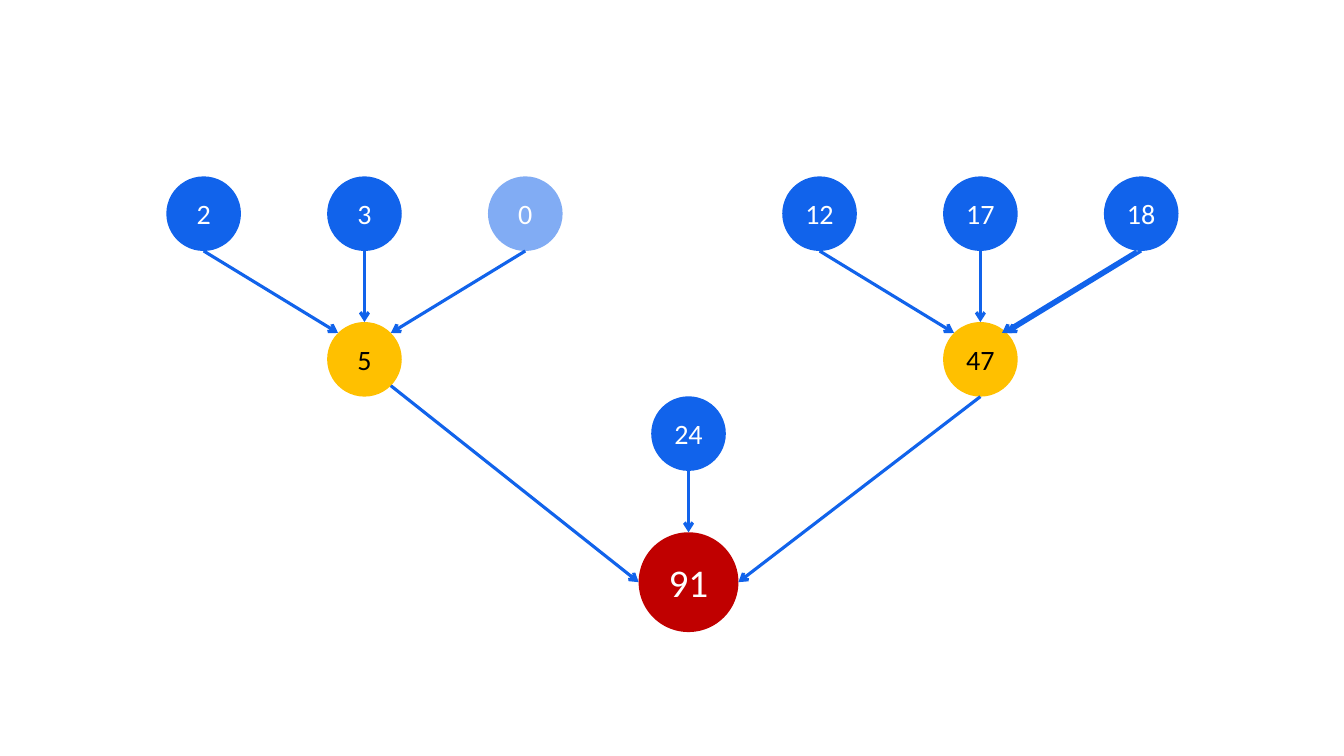
from math import sqrt

from lxml import etree
from pptx import Presentation
from pptx.dml.color import RGBColor
from pptx.enum.shapes import MSO_CONNECTOR, MSO_SHAPE
from pptx.enum.text import MSO_ANCHOR, PP_ALIGN
from pptx.oxml.ns import qn
from pptx.util import Inches, Pt

OVAL = MSO_SHAPE.OVAL
STRAIGHT = MSO_CONNECTOR.STRAIGHT
MIDDLE = MSO_ANCHOR.MIDDLE
CENTER = PP_ALIGN.CENTER

BLUE = RGBColor(0x11, 0x63, 0xEB)
GOLD = RGBColor(0xFF, 0xC0, 0x00)
RED = RGBColor(0xC0, 0x00, 0x00)
WHITE = RGBColor(0xFF, 0xFF, 0xFF)
BLACK = RGBColor(0x00, 0x00, 0x00)

DIAGONAL = 1 / sqrt(2)
TOP, BOTTOM, LEFT, RIGHT = (0, -1), (0, 1), (-1, 0), (1, 0)
TOP_LEFT, TOP_RIGHT = (-DIAGONAL, -DIAGONAL), (DIAGONAL, -DIAGONAL)
BOTTOM_RIGHT = (DIAGONAL, DIAGONAL)


def write_text(box, text, *, size, color, font="Calibri"):
    frame = box.text_frame
    frame.word_wrap = False
    frame.margin_left = frame.margin_right = 0
    frame.margin_top = frame.margin_bottom = 0
    frame.vertical_anchor = MIDDLE
    para = frame.paragraphs[0]
    para.alignment = CENTER
    span = para.add_run()
    span.text = text
    span.font.size = Pt(size)
    span.font.name = font
    span.font.color.rgb = color


class TreePage:
    origin = (2.02, 2.12)
    column_width = 1.595
    row_height = 1.445
    line_width = 2.25

    def __init__(self, deck):
        self.page = deck.slides.add_slide(deck.slide_layouts[6])

    def node(self, text, column, row, *, fill=BLUE, color=WHITE, size=20,
             diameter=0.74, opacity=100):
        x = self.origin[0] + column * self.column_width
        y = self.origin[1] + row * self.row_height
        radius = diameter / 2
        box = self.page.shapes.add_shape(
            OVAL, Inches(x - radius), Inches(y - radius),
            Inches(diameter), Inches(diameter))
        box.shadow.inherit = False
        box.fill.solid()
        box.fill.fore_color.rgb = fill
        box.line.fill.background()
        if opacity < 100:
            tint = box.fill._xPr.find(qn("a:solidFill"))[0]
            etree.SubElement(tint, qn("a:alpha"), val=str(opacity * 1000))
        write_text(box, text, size=size, color=color)
        return x, y, radius

    def arrow(self, start, start_side, end, end_side, shift=0):
        ends = []
        for (x, y, radius), (across, down) in ((start, start_side), (end, end_side)):
            ends += [Inches(x + radius * across + shift * self.column_width),
                     Inches(y + radius * down)]
        link = self.page.shapes.add_connector(STRAIGHT, *ends)
        link.line.color.rgb = BLUE
        link.line.width = Pt(self.line_width)
        etree.SubElement(link.line._get_or_add_ln(), qn("a:tailEnd"), type="arrow")
        etree.SubElement(link._element.spPr, qn("a:effectLst"))

    def family(self, column, numbers, total, opacities=(100, 100, 100)):
        leaves = [self.node(number, column + place, 0, opacity=opacity)
                  for place, (number, opacity) in enumerate(zip(numbers, opacities))]
        parent = self.node(total, column + 1, 1, fill=GOLD, color=BLACK)
        for leaf, side in zip(leaves, (TOP_LEFT, TOP, TOP_RIGHT)):
            self.arrow(leaf, BOTTOM, parent, side)
        return leaves, parent


def main():
    deck = Presentation()
    deck.slide_width, deck.slide_height = Inches(13.33), Inches(7.5)
    tree = TreePage(deck)

    _, left_sum = tree.family(0, ("2", "3", "0"), "5", opacities=(100, 100, 53))
    right_leaves, right_sum = tree.family(3.83, ("12", "17", "18"), "47")
    tree.arrow(right_leaves[-1], BOTTOM, right_sum, TOP_RIGHT, shift=-0.03)

    middle = tree.node("24", 3.015, 1.51)
    total = tree.node("91", 3.015, 2.53, fill=RED, size=28, diameter=0.99)
    tree.arrow(middle, BOTTOM, total, TOP)
    tree.arrow(left_sum, BOTTOM_RIGHT, total, LEFT)
    tree.arrow(right_sum, BOTTOM, total, RIGHT)

    deck.save("out.pptx")


if __name__ == "__main__":
    main()
